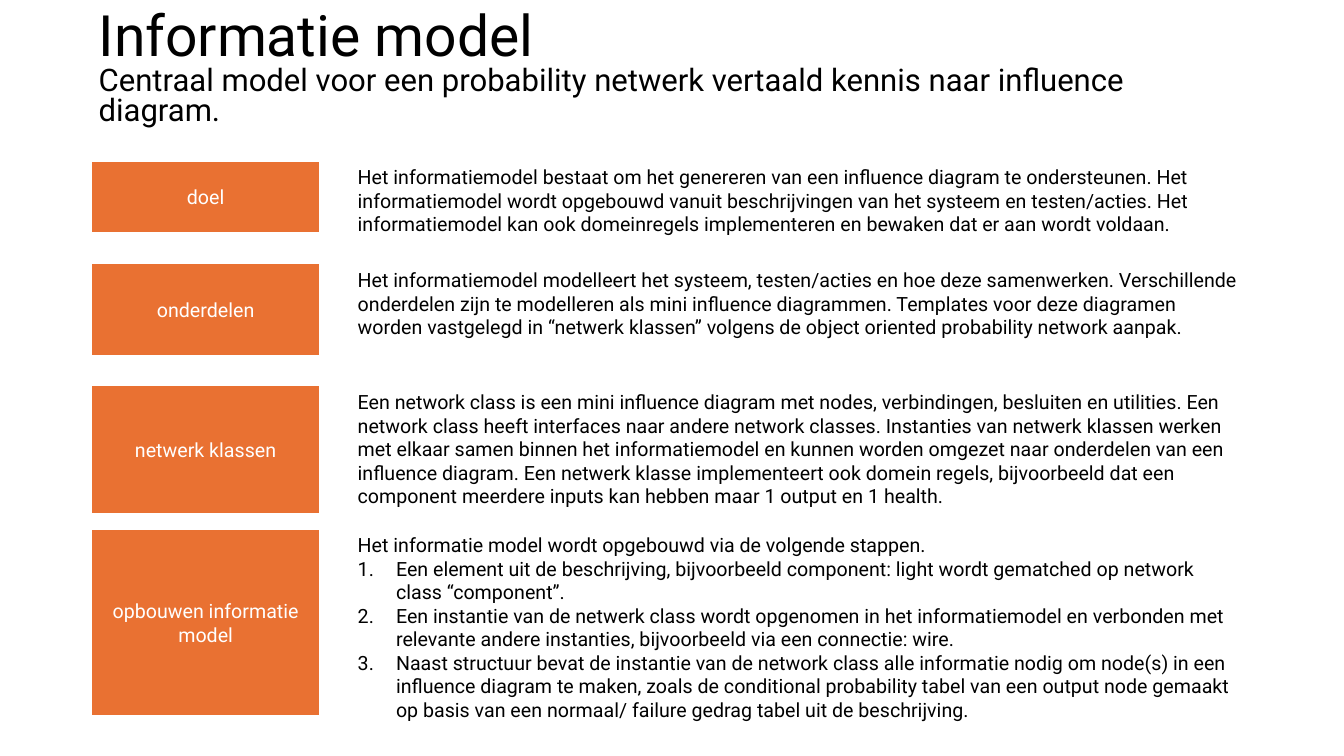
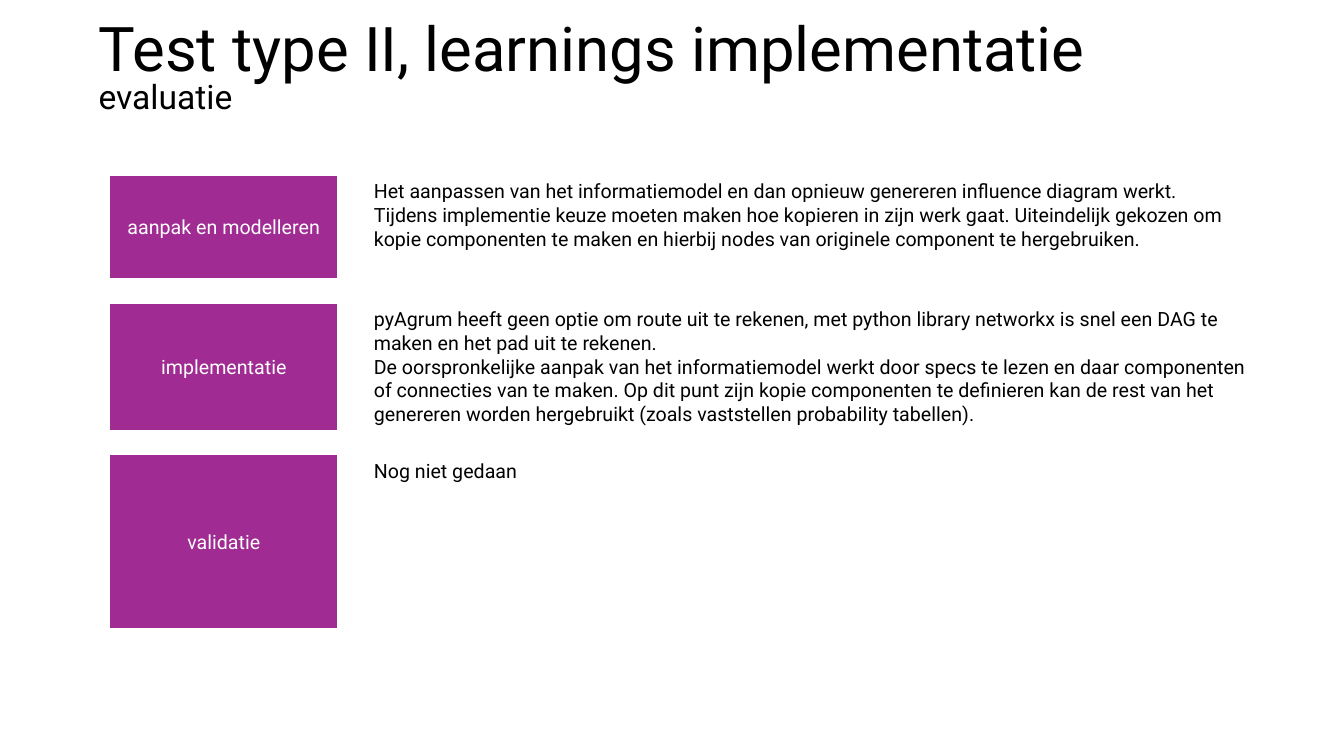
"""Build two slides of labelled explanations about an information model."""
from dataclasses import dataclass

import lxml.etree
import pptx
import pptx.dml.color
import pptx.enum.shapes
import pptx.enum.text
import pptx.oxml.ns
import pptx.util

Inches = pptx.util.Inches
FONT = "Roboto"
COLOURS = {"text": "000000", "light": "FFFFFF", "orange": "E97132", "purple": "A02B93"}
LABEL_WIDTH = 2.28
BODY_WIDTH = 8.94
BODY_SIZE = 14
TITLE_LEFT, TITLE_TOP, TITLE_HEIGHT = 0.88, 0.18, 1.03
NUMBER_INDENT = 0.38


@dataclass
class Row:
    label: str
    top: float
    label_height: float
    body_height: float
    paragraphs: list[str]
    steps: tuple[str, ...] = ()


@dataclass
class Page:
    title: str
    subtitle: str
    title_size: float
    subtitle_size: float
    title_width: float
    colour: str
    label_left: float
    body_left: float
    rows: list[Row]


PAGES = [
    Page(
        "Informatie model",
        "Centraal model voor een probability netwerk vertaald kennis naar influence diagram.",
        40.7, 22.2, 11.5, "orange", 0.9, 3.45,
        [
            Row("doel", 1.59, 0.73, 0.81, [
                "Het informatiemodel bestaat om het genereren van een influence diagram te "
                "ondersteunen. Het informatiemodel wordt opgebouwd vanuit beschrijvingen van het "
                "systeem en testen/acties. Het informatiemodel kan ook domeinregels implementeren "
                "en bewaken dat er aan wordt voldaan.",
            ]),
            Row("onderdelen", 2.61, 0.93, 0.81, [
                "Het informatiemodel modelleert het systeem, testen/acties en hoe deze "
                "samenwerken. Verschillende onderdelen zijn te modelleren als mini influence "
                "diagrammen. Templates voor deze diagramen worden vastgelegd in “netwerk klassen” "
                "volgens de object oriented probability network aanpak.",
            ]),
            Row("netwerk klassen", 3.82, 1.28, 1.28, [
                "Een network class is een mini influence diagram met nodes, verbindingen, "
                "besluiten en utilities. Een network class heeft interfaces naar andere network "
                "classes. Instanties van netwerk klassen werken met elkaar samen binnen het "
                "informatiemodel en kunnen worden omgezet naar onderdelen van een influence "
                "diagram. Een netwerk klasse implementeert ook domein regels, bijvoorbeeld dat "
                "een component meerdere inputs kan hebben maar 1 output en 1 health.",
            ]),
            Row("opbouwen informatie model", 5.24, 1.87, 2.22, [
                "Het informatie model wordt opgebouwd via de volgende stappen.",
            ], (
                "Een element uit de beschrijving, bijvoorbeeld component: light wordt gematched "
                "op network class “component”.",
                "Een instantie van de netwerk class wordt opgenomen in het informatiemodel en "
                "verbonden met relevante andere instanties, bijvoorbeeld via een connectie: wire.",
                "Naast structuur bevat de instantie van de network class alle informatie nodig om "
                "node(s) in een influence diagram te maken, zoals de conditional probability tabel "
                "van een output node gemaakt op basis van een normaal/ failure gedrag tabel uit de "
                "beschrijving.",
            )),
        ],
    ),
    Page(
        "Test type II, learnings implementatie", "evaluatie",
        44, 24, 12.17, "purple", 1.08, 3.61,
        [
            Row("aanpak en modelleren", 1.73, 1.04, 0.81, [
                "Het aanpassen van het informatiemodel en dan opnieuw genereren influence diagram "
                "werkt.",
                "Tijdens implementie keuze moeten maken hoe kopieren in zijn werk gaat. "
                "Uiteindelijk gekozen om kopie componenten te maken en hierbij nodes van originele "
                "component te hergebruiken.",
            ]),
            Row("implementatie", 3, 1.28, 1.28, [
                "pyAgrum heeft geen optie om route uit te rekenen, met python library networkx is "
                "snel een DAG te maken en het pad uit te rekenen.",
                "De oorspronkelijke aanpak van het informatiemodel werkt door specs te lezen en "
                "daar componenten of connecties van te maken. Op dit punt zijn kopie componenten "
                "te definieren kan de rest van het genereren worden hergebruikt (zoals vaststellen "
                "probability tabellen).",
            ]),
            Row("validatie", 4.5, 1.74, 0.34, ["Nog niet gedaan"]),
        ],
    ),
]


def rgb(name: str) -> pptx.dml.color.RGBColor:
    return pptx.dml.color.RGBColor.from_string(COLOURS[name])


def style(paragraph, size: float, colour: str = "text") -> None:
    for run in paragraph.runs:
        run.font.name = FONT
        run.font.size = pptx.util.Pt(size)
        run.font.color.rgb = rgb(colour)


def number(paragraph) -> None:
    properties = paragraph._p.get_or_add_pPr()
    properties.set("marL", str(Inches(NUMBER_INDENT)))
    properties.set("indent", str(-Inches(NUMBER_INDENT)))
    bullet_font = lxml.etree.SubElement(properties, pptx.oxml.ns.qn("a:buFont"))
    bullet_font.set("typeface", "+mj-lt")
    numbering = lxml.etree.SubElement(properties, pptx.oxml.ns.qn("a:buAutoNum"))
    numbering.set("type", "arabicPeriod")


def add_title(slide, page: Page) -> None:
    heading = slide.shapes.add_textbox(
        Inches(TITLE_LEFT), Inches(TITLE_TOP), Inches(page.title_width), Inches(TITLE_HEIGHT))
    frame = heading.text_frame
    frame.word_wrap = True
    frame.vertical_anchor = pptx.enum.text.MSO_ANCHOR.MIDDLE
    frame.text = f"{page.title}\n{page.subtitle}"
    for paragraph, size in zip(frame.paragraphs, (page.title_size, page.subtitle_size)):
        paragraph.line_spacing = 0.8
        style(paragraph, size)


def add_label(slide, page: Page, row: Row) -> None:
    label = slide.shapes.add_shape(
        pptx.enum.shapes.MSO_SHAPE.RECTANGLE, Inches(page.label_left), Inches(row.top),
        Inches(LABEL_WIDTH), Inches(row.label_height))
    label.shadow.inherit = False
    label.fill.solid()
    label.fill.fore_color.rgb = rgb(page.colour)
    label.line.color.rgb = rgb("light")
    label.line.width = pptx.util.Pt(2)
    frame = label.text_frame
    frame.word_wrap = True
    frame.vertical_anchor = pptx.enum.text.MSO_ANCHOR.MIDDLE
    frame.text = row.label
    frame.paragraphs[0].alignment = pptx.enum.text.PP_ALIGN.CENTER
    style(frame.paragraphs[0], BODY_SIZE, "light")


def add_body(slide, page: Page, row: Row) -> None:
    body = slide.shapes.add_textbox(
        Inches(page.body_left), Inches(row.top), Inches(BODY_WIDTH), Inches(row.body_height))
    frame = body.text_frame
    frame.word_wrap = True
    frame.auto_size = pptx.enum.text.MSO_AUTO_SIZE.SHAPE_TO_FIT_TEXT
    frame.text = "\n".join([*row.paragraphs, *row.steps])
    for paragraph in frame.paragraphs[len(row.paragraphs):]:
        number(paragraph)
    for paragraph in frame.paragraphs:
        style(paragraph, BODY_SIZE)


def main() -> None:
    presentation = pptx.Presentation()
    presentation.slide_width = Inches(13.33)
    presentation.slide_height = Inches(7.5)
    for page in PAGES:
        slide = presentation.slides.add_slide(presentation.slide_layouts[6])
        add_title(slide, page)
        for row in page.rows:
            add_label(slide, page, row)
            add_body(slide, page, row)
    presentation.save("out.pptx")


if __name__ == "__main__":
    main()
